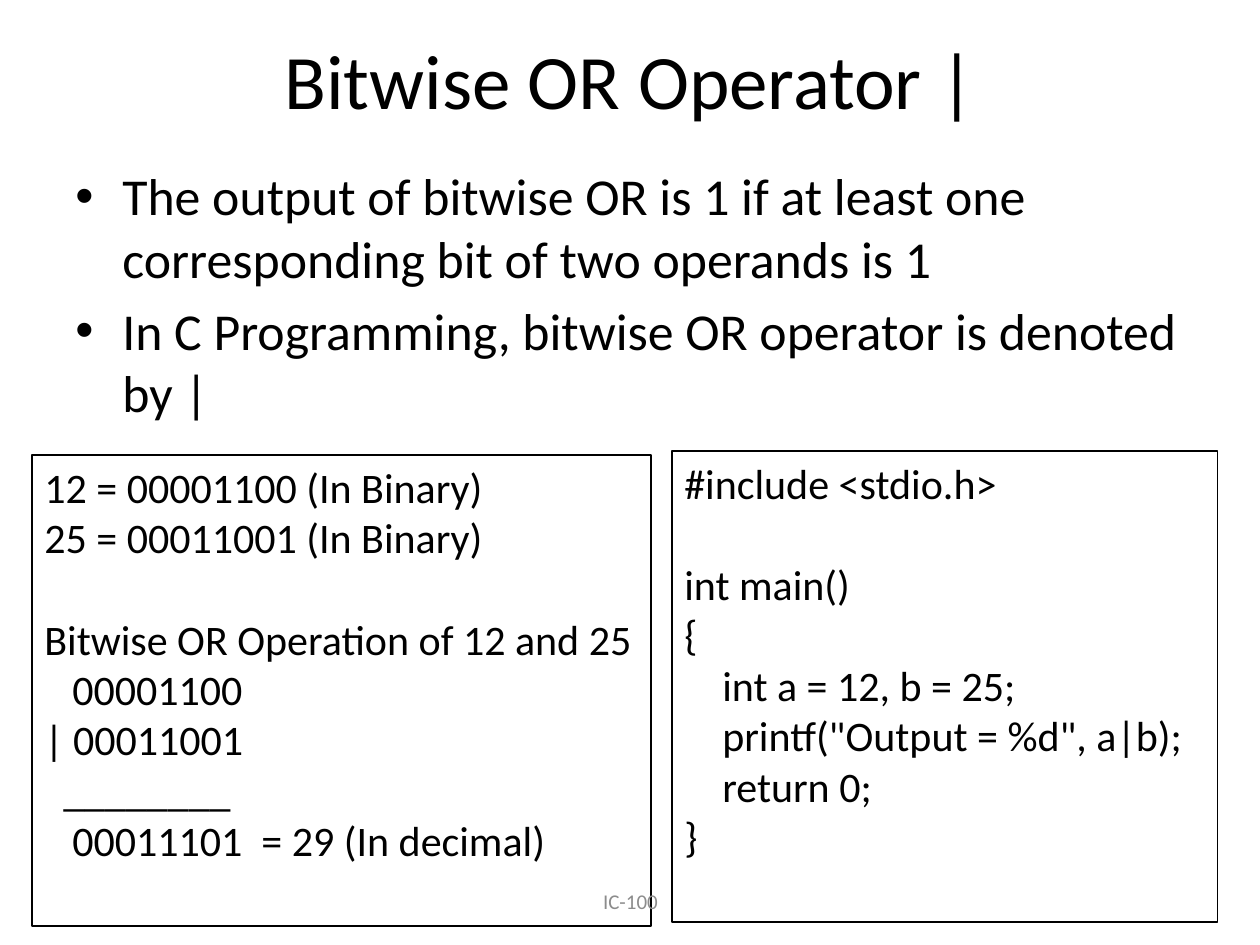
from dataclasses import dataclass

from lxml.etree import SubElement
from pptx import Presentation
from pptx.dml.color import RGBColor
from pptx.enum.shapes import MSO_SHAPE as Shape
from pptx.enum.text import MSO_ANCHOR as Anchor, PP_ALIGN as Align
from pptx.oxml.ns import qn
from pptx.util import Emu, Pt

PX = 914400 // 126
FONT = "Calibri"
COLORS = {"ink": "000000", "muted": "8C8C8C"}
CODE_LINE = 51  # height of one line of code, in pixels
SPACE = 9.5     # width of one space in the code, in pixels


@dataclass
class Line:
    text: str
    indent: int = 0
    before: int = 0
    bullet: bool = False


@dataclass
class Block:
    left: int
    top: int
    width: int
    height: int
    size: float
    lines: list[Line]
    color: str = "ink"
    align: Align = Align.LEFT
    anchor: Anchor = Anchor.TOP
    framed: bool = False


def px(length: float) -> Emu:
    return Emu(round(length * PX))


def rgb(name: str) -> RGBColor:
    return RGBColor.from_string(COLORS[name])


def code(text: str, spaces: int = 0, gap: int = 0) -> Line:
    return Line(text, round(spaces * SPACE), gap * CODE_LINE)


def add_line(paragraph, line: Line, block: Block) -> None:
    paragraph.alignment = block.align
    paragraph.space_before = px(line.before)
    props = paragraph._p.get_or_add_pPr()
    props.set("marL", str(px(line.indent)))
    props.set("indent", str(-px(line.indent) if line.bullet else 0))
    if line.bullet:
        SubElement(props, qn("a:buFont"), typeface="Arial")
        SubElement(props, qn("a:buChar"), char="•")
    run = paragraph.add_run()
    run.text = line.text
    run.font.name = FONT
    run.font.size = Pt(block.size)
    run.font.color.rgb = rgb(block.color)


def add_block(slide, block: Block) -> None:
    place = [px(n) for n in (block.left, block.top, block.width, block.height)]
    if block.framed:
        shape = slide.shapes.add_shape(Shape.RECTANGLE, *place)
        shape.shadow.inherit = False
        shape.fill.background()
        shape.line.color.rgb = rgb("ink")
        shape.line.width = Pt(0.75)
    else:
        shape = slide.shapes.add_textbox(*place)
    frame = shape.text_frame
    frame.word_wrap = True
    frame.vertical_anchor = block.anchor
    for index, line in enumerate(block.lines):
        paragraph = frame.add_paragraph() if index else frame.paragraphs[0]
        add_line(paragraph, line, block)


BLOCKS = [
    # Title
    Block(63, 0, 1134, 158, 44, [Line("Bitwise OR Operator |")],
          align=Align.CENTER, anchor=Anchor.MIDDLE),
    # Explanation
    Block(63, 158, 1134, 252, 29.6, [
        Line("The output of bitwise OR is 1 if at least one "
             "corresponding bit of two operands is 1", 47, bullet=True),
        Line("In C Programming, bitwise OR operator is denoted by |",
             47, before=10, bullet=True),
    ]),
    # Worked example
    Block(32, 455, 619, 471, 24, [
        code("12 = 00001100 (In Binary)"),
        code("25 = 00011001 (In Binary)"),
        code("Bitwise OR Operation of 12 and 25", gap=1),
        code("00001100", 3),
        code("| 00011001"),
        code("________", 2),
        code("00011101  = 29 (In decimal)", 3),
    ], framed=True),
    # C program
    Block(672, 451, 546, 471, 24, [
        code("#include <stdio.h>"),
        code("int main()", gap=1),
        code("{"),
        code("int a = 12, b = 25;", 4),
        code('printf("Output = %d", a|b);', 4),
        code("return 0;", 4),
        code("}"),
    ], framed=True),
    # Footer
    Block(431, 876, 399, 50, 12, [Line("IC-100")], color="muted",
          align=Align.CENTER, anchor=Anchor.MIDDLE),
]

deck = Presentation()
deck.slide_width, deck.slide_height = px(1260), px(945)
slide = deck.slides.add_slide(deck.slide_layouts[6])
for block in BLOCKS:
    add_block(slide, block)
deck.save("out.pptx")
